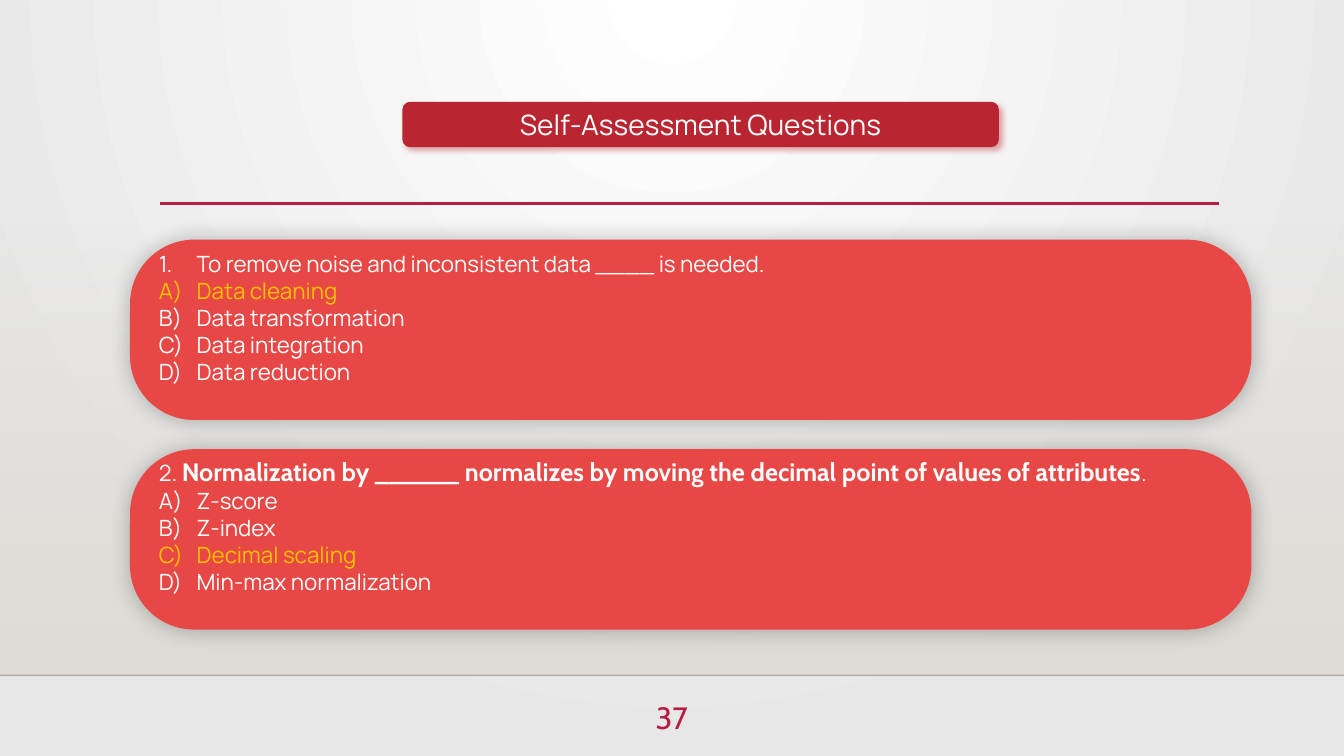
from collections import namedtuple
from lxml.etree import SubElement
from pptx import Presentation
from pptx.dml.color import RGBColor
from pptx.enum.shapes import MSO_CONNECTOR as LINE, MSO_SHAPE as SHAPE
from pptx.enum.text import MSO_ANCHOR as ANCHOR, MSO_AUTO_SIZE as FIT, PP_ALIGN as ALIGN
from pptx.oxml import parse_xml
from pptx.oxml.ns import nsdecls, qn
from pptx.util import Pt

Theme = namedtuple("Theme", "white grey sand crimson banner card answer ink "
                            "sans strong title_size text_size lead_size number_size")
theme = Theme("FFFFFF", "E7E7E7", "DFDBD5", "B71E42", "BA2532", "E84845", "FFC000", "000001",
              "Manrope", "Cabin", 20, 16, 18, 22)


def style(run, size, color, face=theme.sans, bold=False):
    run.font.size, run.font.name, run.font.bold = Pt(size), face, bold
    run.font.color.rgb = RGBColor.from_string(color)


def set_gradient(owner, start, end, start_alpha, direction):
    solid = owner.find(qn("a:solidFill"))
    owner.replace(solid, parse_xml(
        f'<a:gradFill {nsdecls("a")} rotWithShape="1"><a:gsLst>'
        f'<a:gs pos="0"><a:srgbClr val="{start}"><a:alpha val="{start_alpha}"/></a:srgbClr></a:gs>'
        f'<a:gs pos="100000"><a:srgbClr val="{end}"/></a:gs>'
        f'</a:gsLst>{direction}</a:gradFill>'))


deck = Presentation()
deck.slide_width, deck.slide_height = Pt(960), Pt(540)
slide = deck.slides.add_slide(deck.slide_layouts[3])
shapes = slide.shapes
title, *question_lists = slide.placeholders

slide.background.fill.solid()
set_gradient(slide._element.find(".//" + qn("p:bgPr")), theme.white, theme.grey, 100000,
             '<a:path path="circle"><a:fillToRect l="43000" t="0" r="43000" b="100000"/></a:path>')

panels = [
    (SHAPE.RECTANGLE, 0, 159, 960, 323.4, theme.sand, None, None),
    (SHAPE.ROUNDED_RECTANGLE, 287.5, 72.7, 426, 32.4, theme.banner, 0.167, (theme.banner, 40, 4, 3, 45)),
    (SHAPE.ROUNDED_RECTANGLE, 92.9, 171.2, 801, 128.8, theme.card, 0.356, ("000000", 25, 15, 0, 0)),
    (SHAPE.ROUNDED_RECTANGLE, 92.9, 320.9, 801, 128.8, theme.card, 0.356, ("000000", 25, 15, 0, 0)),
]
for kind, left, top, width, height, color, corner, glow in panels:
    panel = shapes.add_shape(kind, Pt(left), Pt(top), Pt(width), Pt(height))
    panel.shadow.inherit = False
    panel.fill.solid()
    panel.fill.fore_color.rgb = RGBColor.from_string(color)
    panel.line.fill.background()
    if glow:
        panel.adjustments[0] = corner
        shade, alpha, blur, distance, angle = glow
        panel._element.spPr.find(qn("a:effectLst")).append(parse_xml(
            f'<a:outerShdw {nsdecls("a")} blurRad="{Pt(blur)}" dist="{Pt(distance)}" '
            f'dir="{angle * 60000}" algn="ctr" rotWithShape="0"><a:srgbClr val="{shade}">'
            f'<a:alpha val="{alpha * 1000}"/></a:srgbClr></a:outerShdw>'))
    else:
        set_gradient(panel._element.spPr, color, color, 0, '<a:lin ang="5400000" scaled="0"/>')

rules = [(0, 960, 482.4, theme.ink, 1, 20), (114.3, 870.9, 145.2, theme.crimson, 2.5, 100)]
for start, end, y, color, weight, alpha in rules:
    rule = shapes.add_connector(LINE.STRAIGHT, Pt(start), Pt(y), Pt(end), Pt(y))
    rule.line.width = Pt(weight)
    rule.line.color.rgb = RGBColor.from_string(color)
    SubElement(rule._element.spPr.find(".//" + qn("a:srgbClr")), qn("a:alpha"), val=str(alpha * 1000))
    SubElement(rule._element.spPr, qn("a:effectLst"))

title.left, title.top, title.width, title.height = Pt(287.5), Pt(72.7), Pt(426), Pt(32.4)
heading = title.text_frame
heading.text = "Self-Assessment Questions"
heading.auto_size, heading.vertical_anchor = FIT.NONE, ANCHOR.MIDDLE
heading.margin_top = heading.margin_bottom = 0
heading.paragraphs[0].alignment = ALIGN.CENTER
style(heading.paragraphs[0].runs[0], theme.title_size, theme.white)
shapes._spTree.append(title._element)

NUMBER, LETTER = "arabicPeriod", "alphaUcParenR"
questions = [
    (178.2, NUMBER, ["To remove noise and inconsistent data ____ is needed."],
     ["Data cleaning", "Data transformation", "Data integration", "Data reduction"], "Data cleaning"),
    (328.4, None,
     ["2. ", "Normalization by ______ normalizes by moving the decimal point of values of attributes", "."],
     ["Z-score", "Z-index", "Decimal scaling", "Min-max normalization"], "Decimal scaling"),
]
for question_list, (top, numbering, prompt, options, answer) in zip(question_lists, questions):
    question_list.left, question_list.top = Pt(113.5), Pt(top)
    question_list.width, question_list.height = Pt(760), Pt(100)
    frame = question_list.text_frame
    frame.auto_size, frame.vertical_anchor = FIT.NONE, ANCHOR.TOP
    frame.margin_left = frame.margin_right = frame.margin_top = frame.margin_bottom = 0
    lines = [(numbering, prompt)] + [(LETTER, [option]) for option in options]
    for index, (scheme, pieces) in enumerate(lines):
        line = frame.paragraphs[0] if index == 0 else frame.add_paragraph()
        line.alignment = ALIGN.LEFT
        line.space_before = line.space_after = Pt(0)
        line.line_spacing = Pt(19.3)
        props = line._p.get_or_add_pPr()
        indent = Pt(27) if scheme else 0
        props.set("marL", str(indent))
        props.set("indent", str(-indent))
        if scheme:
            SubElement(props, qn("a:buFont"), typeface=theme.sans)
            SubElement(props, qn("a:buAutoNum"), type=scheme)
        else:
            SubElement(props, qn("a:buNone"))
        for piece in pieces:
            run = line.add_run()
            run.text = piece
            if piece.startswith("Normalization"):
                style(run, theme.lead_size, theme.white, theme.strong, True)
            else:
                style(run, theme.text_size, theme.answer if piece == answer else theme.white)
    shapes._spTree.append(question_list._element)

page_number = shapes.add_textbox(Pt(447.8), Pt(495.4), Pt(64.1), Pt(39.6)).text_frame
page_number.word_wrap = True
page_number.text = "37"
page_number.paragraphs[0].alignment = ALIGN.CENTER
style(page_number.paragraphs[0].runs[0], theme.number_size, theme.crimson, theme.strong)

deck.save("out.pptx")
